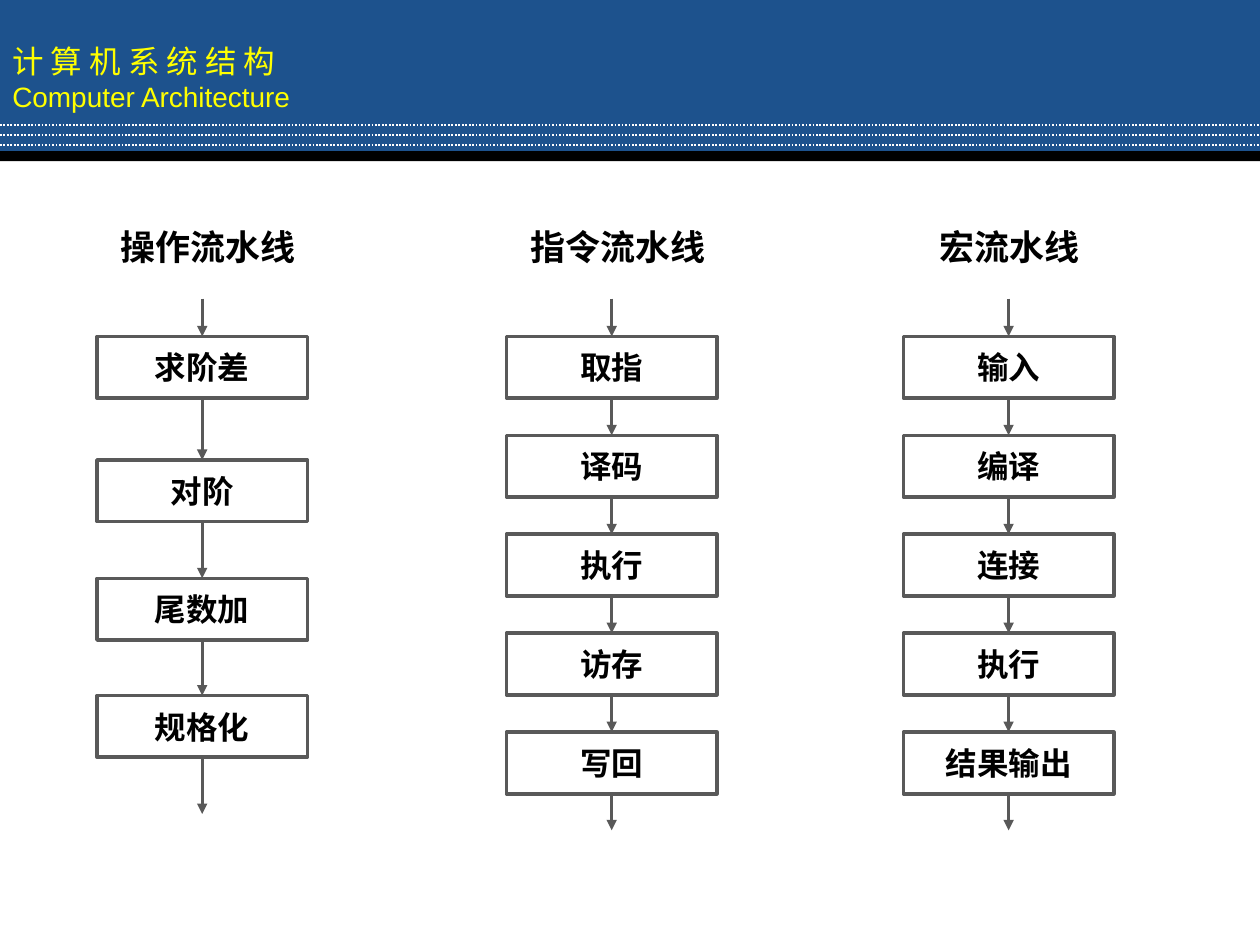
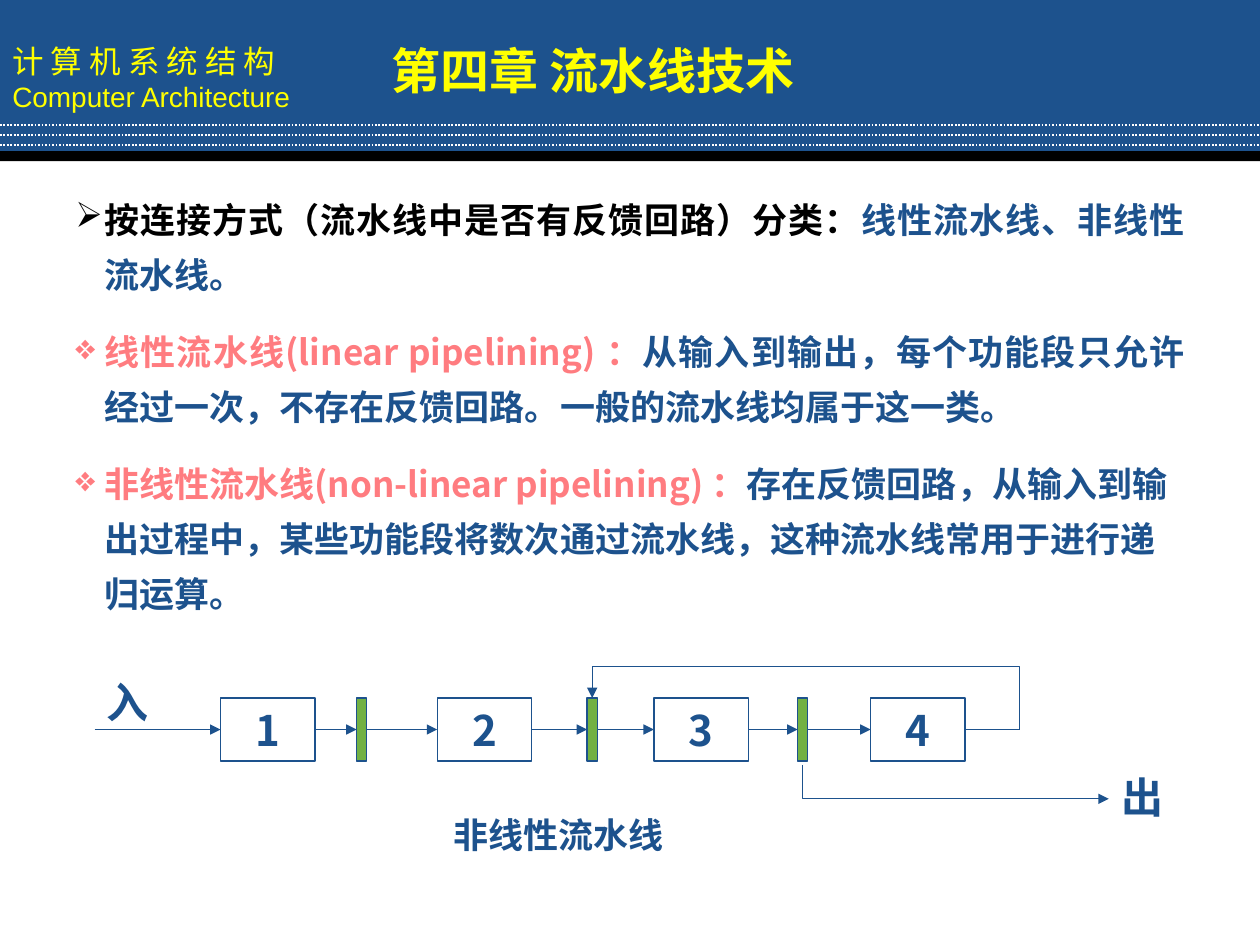
from itertools import pairwise

from lxml import etree
from pptx import Presentation
from pptx.dml.color import RGBColor
from pptx.enum.dml import MSO_LINE
from pptx.enum.shapes import MSO_CONNECTOR, MSO_SHAPE
from pptx.enum.text import MSO_ANCHOR, PP_ALIGN
from pptx.oxml.ns import qn
from pptx.util import Inches, Pt

RECTANGLE = MSO_SHAPE.RECTANGLE
STRAIGHT = MSO_CONNECTOR.STRAIGHT
DOTTED = MSO_LINE.ROUND_DOT
MIDDLE = MSO_ANCHOR.MIDDLE
LEFT, CENTER, JUSTIFY = PP_ALIGN.LEFT, PP_ALIGN.CENTER, PP_ALIGN.JUSTIFY

BLUE = RGBColor(0x1D, 0x52, 0x8D)
YELLOW = RGBColor(0xFF, 0xFF, 0x00)
BLACK = RGBColor(0x00, 0x00, 0x00)
WHITE = RGBColor(0xFF, 0xFF, 0xFF)
GRAY = RGBColor(0x59, 0x59, 0x59)
GREEN = RGBColor(0x72, 0xB1, 0x43)
PINK = RGBColor(0xFF, 0x7C, 0x80)
CHINESE_FONT = "Noto Sans CJK SC"
LATIN_FONT = "Arial"

SLIDE_WIDTH, SLIDE_HEIGHT = 10, 7.5


def add_box(slide, area, lines=(), color=BLACK, align=LEFT, bold=True,
            fill=None, outline=None, weight=0.75):
    """Add a rectangle or a plain text box; lines holds (text, size, font)."""
    area = [Inches(length) for length in area]
    if fill is None and outline is None:
        shape = slide.shapes.add_textbox(*area)
    else:
        shape = slide.shapes.add_shape(RECTANGLE, *area)
        shape.shadow.inherit = False
        if fill is None:
            shape.fill.background()
        else:
            shape.fill.solid()
            shape.fill.fore_color.rgb = fill
        if outline is None:
            shape.line.fill.background()
        else:
            shape.line.color.rgb = outline
            shape.line.width = Pt(weight)
    frame = shape.text_frame
    frame.word_wrap = True
    frame.vertical_anchor = MIDDLE
    for index, (text, size, font_name) in enumerate(lines):
        paragraph = frame.add_paragraph() if index else frame.paragraphs[0]
        paragraph.text = text
        paragraph.alignment = align
        font = paragraph.font
        font.name, font.size, font.bold = font_name, Pt(size), bold
        font.color.rgb = color
        defaults = paragraph._p.pPr.find(qn("a:defRPr"))
        etree.SubElement(defaults, qn("a:ea"), typeface=font_name)
    return shape


def add_line(slide, points, color, weight, arrow=True, dash=None):
    """Draw a straight connector, or an open outline through more points."""
    points = [(Inches(x), Inches(y)) for x, y in points]
    if len(points) == 2:
        line = slide.shapes.add_connector(STRAIGHT, *points[0], *points[1])
    else:
        builder = slide.shapes.build_freeform(*points[0])
        builder.add_line_segments(points[1:], close=False)
        line = builder.convert_to_shape()
        line.fill.background()
    line.line.color.rgb = color
    line.line.width = Pt(weight)
    if dash is not None:
        line.line.dash_style = dash
    properties = line.element.spPr
    if arrow:
        etree.SubElement(properties.find(qn("a:ln")), qn("a:tailEnd"), type="triangle")
    etree.SubElement(properties, qn("a:effectLst"))


presentation = Presentation()
presentation.slide_width = Inches(SLIDE_WIDTH)
presentation.slide_height = Inches(SLIDE_HEIGHT)
blank_layout = presentation.slide_layouts[6]
pipelines_slide = presentation.slides.add_slide(blank_layout)
linearity_slide = presentation.slides.add_slide(blank_layout)

# Shared header band
course_lines = [("计 算 机 系 统 结 构", 18, CHINESE_FONT),
                ("Computer Architecture", 16, LATIN_FONT)]
for slide in (pipelines_slide, linearity_slide):
    add_box(slide, (0, 0, SLIDE_WIDTH, 1.23), course_lines, YELLOW,
            bold=False, fill=BLUE)
    add_box(slide, (0, 1.2, SLIDE_WIDTH, 0.08), fill=BLACK)
    for row in range(3):
        y = 0.99 + 0.08 * row
        add_line(slide, [(0, y), (SLIDE_WIDTH, y)], WHITE, 1,
                 arrow=False, dash=DOTTED)

# Slide 1: three kinds of pipeline, one per column
STEP_WIDTH, STEP_HEIGHT, FIRST_TOP, ROW_PITCH = 1.67, 0.49, 2.67, 0.785
even_tops = [FIRST_TOP + ROW_PITCH * row for row in range(5)]
# heading, left edge, step names, step tops, length of the last arrow
pipelines = [
    ("操作流水线", 0.77, ["求阶差", "对阶", "尾数加", "规格化"],
     [FIRST_TOP, 3.65, 4.59, 5.52], 0.45),
    ("指令流水线", 4.02, ["取指", "译码", "执行", "访存", "写回"], even_tops, 0.29),
    ("宏流水线", 7.17, ["输入", "编译", "连接", "执行", "结果输出"], even_tops, 0.29),
]
for column, (heading, left, steps, tops, exit_length) in enumerate(pipelines):
    add_box(pipelines_slide, (0.86 + 3.25 * column, 1.74, STEP_WIDTH, 0.44),
            [(heading, 20, CHINESE_FONT)])
    for step, top in zip(steps, tops):
        add_box(pipelines_slide, (left, top, STEP_WIDTH, STEP_HEIGHT),
                [(step, 18, CHINESE_FONT)], align=CENTER,
                fill=WHITE, outline=GRAY, weight=2)
    arrow_x = left + STEP_WIDTH / 2
    starts = [FIRST_TOP - 0.3] + [top + STEP_HEIGHT for top in tops]
    ends = tops + [starts[-1] + exit_length]
    for start, end in zip(starts, ends):
        add_line(pipelines_slide, [(arrow_x, start), (arrow_x, end)], GRAY, 1.5)

# Slide 2: title
add_box(linearity_slide, (2.83, 0.27, 3.75, 0.57),
        [("第四章 流水线技术", 28, CHINESE_FONT)], YELLOW, CENTER)

# Slide 2: definitions with hanging bullets
definitions = [
    ("➢", BLACK, JUSTIFY, "按连接方式（流水线中是否有反馈回路）分类：",
     "线性流水线、非线性流水线。"),
    ("❖", PINK, JUSTIFY, "线性流水线(linear pipelining) ：",
     "从输入到输出，每个功能段只允许经过一次，不存在反馈回路。一般的流水线均属于这一类。"),
    ("❖", PINK, LEFT, "非线性流水线(non-linear pipelining) ：",
     "存在反馈回路，从输入到输出过程中，某些功能段将数次通过流水线，这种流水线常用于进行递归运算。"),
]
frame = linearity_slide.shapes.add_textbox(
    Inches(0.5), Inches(1.42), Inches(9), Inches(3.48)).text_frame
frame.word_wrap = True
for index, (bullet, term_color, align, term, meaning) in enumerate(definitions):
    paragraph = frame.add_paragraph() if index else frame.paragraphs[0]
    paragraph.alignment = align
    paragraph.line_spacing = Pt(31.5)
    if index:
        paragraph.space_before = Pt(12.5)
    properties = paragraph._p.get_or_add_pPr()
    properties.set("marL", str(Inches(0.23)))
    properties.set("indent", str(-Inches(0.23)))
    bullet_color = etree.SubElement(properties, qn("a:buClr"))
    etree.SubElement(bullet_color, qn("a:srgbClr"), val=str(term_color))
    etree.SubElement(properties, qn("a:buChar"), char=bullet)
    font = paragraph.font
    font.name, font.size, font.bold = CHINESE_FONT, Pt(20), True
    defaults = properties.find(qn("a:defRPr"))
    etree.SubElement(defaults, qn("a:ea"), typeface=CHINESE_FONT)
    for text, color in ((term, term_color), (meaning, BLUE)):
        run = paragraph.add_run()
        run.text = text
        run.font.color.rgb = color

# Slide 2: stages and latches along the flow line
STAGE_TOP, STAGE_HEIGHT, STAGE_WIDTH, LATCH_WIDTH = 5.54, 0.5, 0.75, 0.08
FLOW_Y = STAGE_TOP + STAGE_HEIGHT / 2
stage_lefts = [1.75 + 1.72 * column for column in range(4)]
latch_lefts = [2.83, 4.66, 6.33]
for number, left in enumerate(stage_lefts, 1):
    add_box(linearity_slide, (left, STAGE_TOP, STAGE_WIDTH, STAGE_HEIGHT),
            [(str(number), 24, CHINESE_FONT)], BLUE, CENTER, outline=BLUE)
for left in latch_lefts:
    add_box(linearity_slide, (left, STAGE_TOP, LATCH_WIDTH, STAGE_HEIGHT),
            fill=GREEN, outline=BLUE)
parts = sorted([(left, left + STAGE_WIDTH) for left in stage_lefts]
               + [(left, left + LATCH_WIDTH) for left in latch_lefts])
for (_, start), (end, _) in pairwise([(0, 0.75)] + parts):
    add_line(linearity_slide, [(start, FLOW_Y), (end, FLOW_Y)], BLUE, 0.75)

# Slide 2: feedback loop and output path
feedback_x, feedback_y = 8.09, STAGE_TOP - 0.25
latch_x = latch_lefts[1] + LATCH_WIDTH / 2
add_line(linearity_slide, [(parts[-1][1], FLOW_Y), (feedback_x, FLOW_Y)],
         BLUE, 0.75, arrow=False)
add_line(linearity_slide, [(feedback_x, FLOW_Y), (feedback_x, feedback_y),
                           (latch_x, feedback_y), (latch_x, STAGE_TOP)], BLUE, 0.75)
output_x = latch_lefts[2] + LATCH_WIDTH / 2
add_line(linearity_slide, [(output_x, 6.07), (output_x, 6.34), (8.8, 6.34)], BLUE, 0.75)

# Slide 2: labels
for text, size, area in [("入", 24, (0.75, 5.32, 0.6, 0.5)),
                         ("出", 24, (8.8, 6.07, 0.6, 0.5)),
                         ("非线性流水线", 20, (3.5, 6.4, 2, 0.44))]:
    add_box(linearity_slide, area, [(text, size, CHINESE_FONT)], BLUE)

presentation.save("out.pptx")
